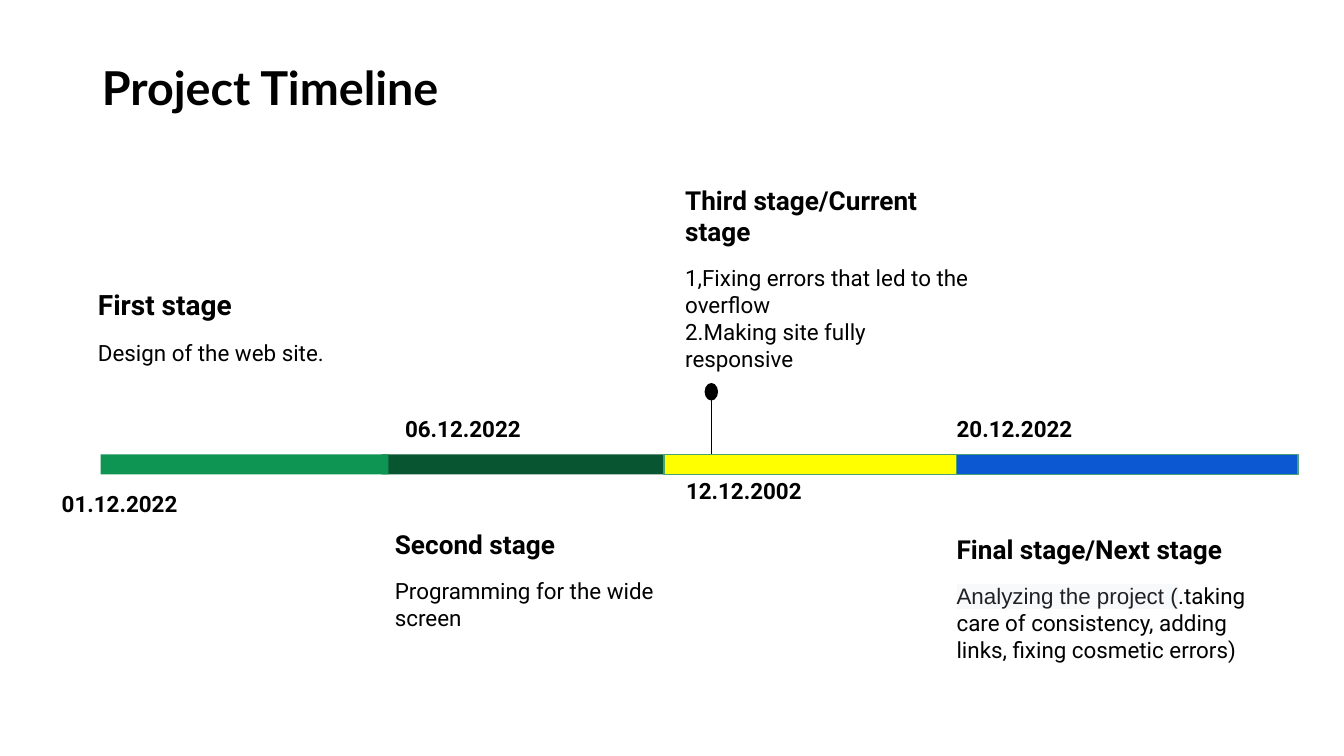
import pptx
import pptx.dml.color
import pptx.enum.shapes
import pptx.enum.text
import pptx.oxml.ns
import pptx.util
from dataclasses import dataclass
from lxml import etree

Pt = pptx.util.Pt
ALIGN = pptx.enum.text.PP_ALIGN
SHAPE = pptx.enum.shapes.MSO_SHAPE
qn = pptx.oxml.ns.qn


@dataclass(frozen=True)
class Theme:
    ink: str = "000000"
    grey: str = "202124"
    highlight: str = "F8F9FA"
    outline: str = "4BA173"
    first: str = "0E9453"
    second: str = "085631"
    third: str = "FFFF00"
    final: str = "0C58D3"
    title_font: str = "Lato"
    body_font: str = "Roboto"
    accent_font: str = "Arial"
    title_size: float = 25
    first_heading_size: float = 15
    heading_size: float = 14
    body_size: float = 12
    line_width: float = 0.75
    inset: float = 7.2
    heading_gap: float = 9.4


def rgb(value):
    return pptx.dml.color.RGBColor.from_string(value)


class TimelinePage:
    def __init__(self, deck, theme):
        self.theme = theme
        self.page = deck.slides.add_slide(deck.slide_layouts[6])

    def box(self, left, top, width, height):
        frame = self.page.shapes.add_textbox(
            Pt(left), Pt(top), Pt(width), Pt(height)).text_frame
        frame.word_wrap = True
        frame.margin_left = frame.margin_right = Pt(self.theme.inset)
        frame.margin_top = frame.margin_bottom = Pt(self.theme.inset)
        return frame

    def span(self, para, text, size, bold=False, font=None, color=None, highlight=None):
        span = para.add_run()
        span.text = text
        span.font.size = Pt(size)
        span.font.bold = bold
        span.font.color.rgb = rgb(color or self.theme.ink)
        span.font.name = font or self.theme.body_font
        if highlight:
            mark = etree.Element(qn("a:highlight"))
            etree.SubElement(mark, qn("a:srgbClr"), val=highlight)
            span.font.fill  # the highlight follows the fill
            span.font._rPr.find(qn("a:solidFill")).addnext(mark)

    def title(self, text, left, top, width, height):
        para = self.box(left, top, width, height).paragraphs[0]
        self.span(para, text, self.theme.title_size, True, self.theme.title_font)

    def date(self, text, left, top, width, height, align=ALIGN.CENTER):
        para = self.box(left, top, width, height).paragraphs[0]
        para.alignment = align
        para.line_spacing = 1.15
        self.span(para, text, self.theme.body_size, True)

    def stage(self, heading, lines, left, top, width, height, size=None):
        """Each line is a list of (text, style) spans."""
        frame = self.box(left, top, width, height)
        para = frame.paragraphs[0]
        para.space_after = Pt(self.theme.heading_gap)
        self.span(para, heading, size or self.theme.heading_size, True)
        for line in lines:
            para = frame.add_paragraph()
            for text, style in line:
                self.span(para, text, self.theme.body_size, **style)

    def shape(self, kind, left, top, width, height, fill, outline=None):
        shape = self.page.shapes.add_shape(
            kind, Pt(left), Pt(top), Pt(width), Pt(height))
        shape.shadow.inherit = False
        shape.fill.solid()
        shape.fill.fore_color.rgb = rgb(fill)
        if outline:
            shape.line.color.rgb = rgb(outline)
            shape.line.width = Pt(self.theme.line_width)
        else:
            shape.line.fill.background()

    def bar(self, left, right, fill, outline=None):
        self.shape(SHAPE.RECTANGLE, left, 243.4, right - left, 10.8, fill, outline)

    def pin(self, x, top, bottom):
        line = self.page.shapes.add_connector(
            pptx.enum.shapes.MSO_CONNECTOR.STRAIGHT, Pt(x), Pt(top), Pt(x), Pt(bottom))
        line.line.color.rgb = rgb(self.theme.ink)
        line.line.width = Pt(self.theme.line_width)
        etree.SubElement(line._element.spPr, qn("a:effectLst"))
        self.shape(SHAPE.OVAL, x - 3.6, top - 5, 7.2, 9.4, self.theme.ink)


def main():
    theme = Theme()
    deck = pptx.Presentation()
    deck.slide_width, deck.slide_height = Pt(720), Pt(405)
    timeline = TimelinePage(deck, theme)

    # Third stage, marked as current by a pin
    timeline.pin(381.1, 210.2, 246.2)
    timeline.date("12.12.2002", 355.7, 246.2, 85.7, 36.7)
    timeline.stage("Third stage/Current stage",
                   [[("1,Fixing errors that led to the overflow", {})],
                    [("2.Making site fully responsive", {})]],
                   360, 91.4, 169.9, 92.9)

    # Second stage
    timeline.bar(204.5, 358.6, theme.second)
    timeline.date("06.12.2022", 205.2, 213.1, 85.7, 28.1)
    timeline.stage("Second stage", [[("Programming for the wide screen", {})]],
                   204.5, 275.8, 177.1, 74.2)
    timeline.bar(355.7, 513.4, theme.third, theme.outline)

    # Final stage
    timeline.date("20.12.2022", 505.4, 213.1, 99.4, 28.1, ALIGN.LEFT)
    accent = {"font": theme.accent_font, "color": theme.grey,
              "highlight": theme.highlight}
    timeline.stage("Final stage/Next stage",
                   [[("Analyzing the project (", accent),
                     (".taking care of consistency, adding links, "
                      "fixing cosmetic errors)", {})]],
                   505.4, 278.6, 177.1, 68.4)
    timeline.bar(512.6, 695.5, theme.final, theme.outline)

    # First stage
    timeline.bar(54, 208.1, theme.first)
    timeline.date("01.12.2022", 20.2, 253.4, 87.8, 34.6)
    timeline.stage("First stage", [[("Design of the web site.", {})]],
                   45.4, 146.9, 177.1, 74.2, theme.first_heading_size)

    # Title
    timeline.title("Project Timeline", 47.5, 24.5, 303.1, 44.6)

    deck.save("out.pptx")


if __name__ == "__main__":
    main()
